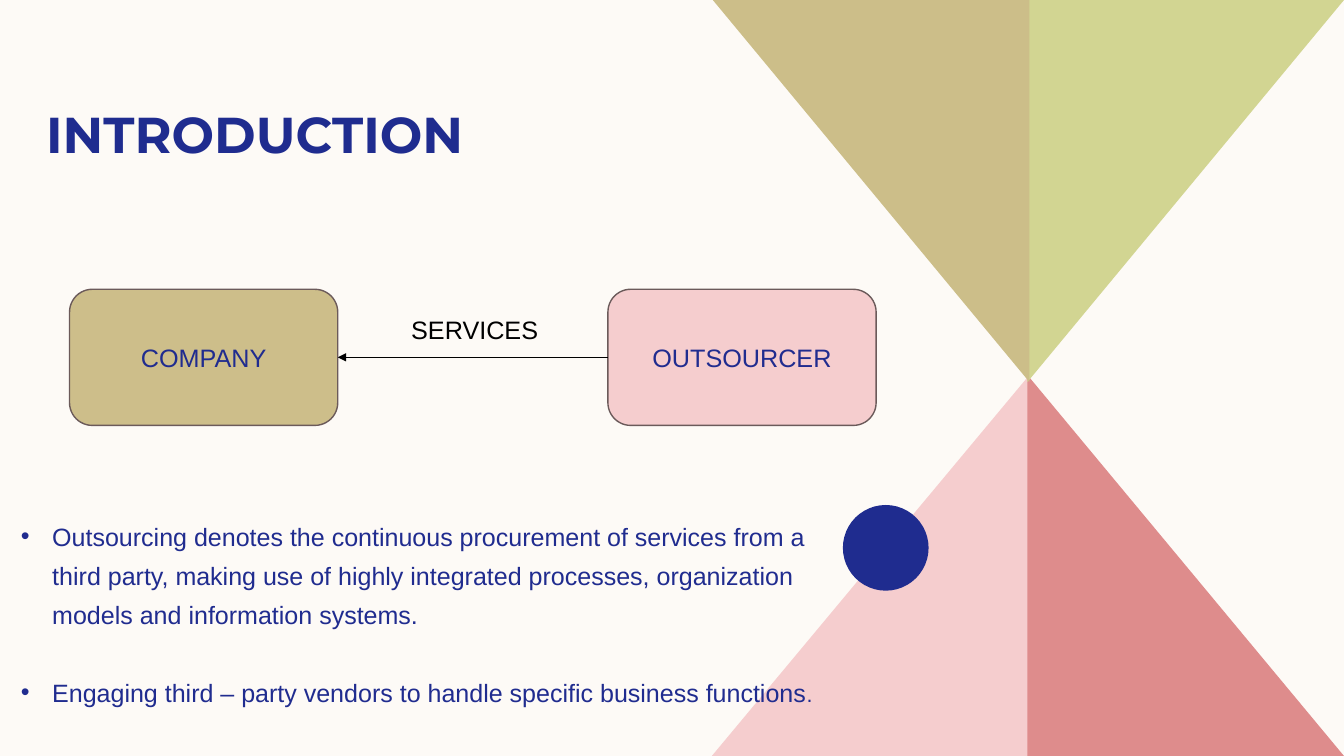
from dataclasses import dataclass

from lxml.etree import SubElement
from pptx import Presentation
from pptx.dml.color import RGBColor
from pptx.enum.shapes import MSO_CONNECTOR, MSO_SHAPE
from pptx.enum.text import MSO_ANCHOR, PP_ALIGN
from pptx.oxml.ns import qn
from pptx.shapes.autoshape import Shape
from pptx.slide import Slide
from pptx.text.text import TextFrame, _Paragraph
from pptx.util import Inches, Pt

NAVY = "1F2C8F"
TEXT_BLUE = "202C8F"
BLACK = "000000"
PINK = "F5CDCE"
BODY_SIZE = 17.9
BULLET_INDENT = 0.31


@dataclass(frozen=True)
class Triangle:
    corners: tuple[tuple[float, float], ...]
    fill: str


@dataclass(frozen=True)
class Party:
    label: str
    left: float
    fill: str


@dataclass(frozen=True)
class Phrase:
    text: str
    size: float = BODY_SIZE


TRIANGLES = (
    Triangle(((10.21, 3.72), (7.06, 7.5), (10.21, 7.5)), PINK),
    Triangle(((10.19, 3.72), (13.33, 7.5), (10.19, 7.5)), "DE8C8C"),
    Triangle(((10.19, 3.79), (13.33, 0), (10.19, 0)), "D2D592"),
    Triangle(((10.21, 3.79), (7.07, 0), (10.21, 0)), "CCBE89"),
)

OUTSOURCER = Party("OUTSOURCER", 6.03, PINK)
COMPANY = Party("COMPANY", 0.69, "CDBE8A")

POINTS = (
    (
        Phrase(
            "Outsourcing denotes the continuous procurement of services from a "
            "third party, making use of highly integrated processes, "
            "organization models and information systems."
        ),
    ),
    (
        Phrase("Engaging third – party vendors to handle specific business functions"),
        Phrase(".", 15.3),
    ),
)


def color(value: str) -> RGBColor:
    return RGBColor.from_string(value)


def paint(shape: Shape, fill: str) -> None:
    shape.shadow.inherit = False
    shape.fill.solid()
    shape.fill.fore_color.rgb = color(fill)
    shape.line.fill.background()


def add_run(paragraph: _Paragraph, text: str, size: float, ink: str,
            font: str = "Arial", bold: bool = False) -> None:
    run = paragraph.add_run()
    run.text = text
    run.font.size = Pt(size)
    run.font.name = font
    run.font.bold = bold
    run.font.color.rgb = color(ink)


def add_text_frame(slide: Slide, left: float, top: float, width: float,
                   height: float, inset: float) -> TextFrame:
    box = slide.shapes.add_textbox(
        Inches(left), Inches(top), Inches(width), Inches(height))
    frame = box.text_frame
    frame.word_wrap = True
    frame.margin_top = frame.margin_bottom = Inches(inset)
    return frame


def add_triangle(slide: Slide, triangle: Triangle) -> None:
    first, *others = [(Inches(x), Inches(y)) for x, y in triangle.corners]
    builder = slide.shapes.build_freeform(*first)
    builder.add_line_segments(others, close=True)
    paint(builder.convert_to_shape(), triangle.fill)


def add_party(slide: Slide, party: Party) -> Shape:
    box = slide.shapes.add_shape(
        MSO_SHAPE.ROUNDED_RECTANGLE,
        Inches(party.left), Inches(2.87), Inches(2.66), Inches(1.35))
    paint(box, party.fill)
    box.line.color.rgb = color("6B5A5A")
    box.line.width = Pt(1)
    box.text_frame.vertical_anchor = MSO_ANCHOR.MIDDLE
    paragraph = box.text_frame.paragraphs[0]
    paragraph.alignment = PP_ALIGN.CENTER
    add_run(paragraph, party.label, 18, TEXT_BLUE)
    return box


def add_service_arrow(slide: Slide, provider: Shape, client: Shape) -> None:
    arrow = slide.shapes.add_connector(MSO_CONNECTOR.STRAIGHT, 0, 0, 0, 0)
    arrow.begin_connect(provider, 1)
    arrow.end_connect(client, 3)
    arrow.line.color.rgb = color(BLACK)
    arrow.line.width = Pt(0.5)
    SubElement(arrow.line._get_or_add_ln(), qn("a:tailEnd"), type="triangle")
    SubElement(arrow._element.spPr, qn("a:effectLst"))


def add_bullet(paragraph: _Paragraph) -> None:
    properties = paragraph._p.get_or_add_pPr()
    indent = Inches(BULLET_INDENT)
    properties.set("marL", str(indent))
    properties.set("indent", str(-indent))
    SubElement(properties, qn("a:buFont"), typeface="Arial")
    SubElement(properties, qn("a:buChar"), char="•")


def add_points(slide: Slide) -> None:
    frame = add_text_frame(slide, 0.11, 5.08, 8.38, 1.97, 0)
    for index, phrases in enumerate(POINTS):
        paragraph = frame.add_paragraph() if index else frame.paragraphs[0]
        paragraph.line_spacing = 1.3
        if index:
            paragraph.space_before = Pt(27.9)
        add_bullet(paragraph)
        for phrase in phrases:
            add_run(paragraph, phrase.text, phrase.size, TEXT_BLUE)


def main() -> None:
    presentation = Presentation()
    presentation.slide_width = Inches(13.33)
    presentation.slide_height = Inches(7.5)
    slide = presentation.slides.add_slide(presentation.slide_layouts[6])
    slide.background.fill.solid()
    slide.background.fill.fore_color.rgb = color("FDFAF6")

    for triangle in TRIANGLES:
        add_triangle(slide, triangle)
    dot = slide.shapes.add_shape(
        MSO_SHAPE.OVAL, Inches(8.36), Inches(5.01), Inches(0.85), Inches(0.85))
    paint(dot, NAVY)

    title = add_text_frame(slide, 0.36, 0.78, 6.24, 0.84, 0)
    title.vertical_anchor = MSO_ANCHOR.BOTTOM
    add_run(title.paragraphs[0], "INTRODUCTION", 36, NAVY, "Montserrat", True)
    add_points(slide)

    outsourcer = add_party(slide, OUTSOURCER)
    company = add_party(slide, COMPANY)
    add_service_arrow(slide, outsourcer, company)
    services = add_text_frame(slide, 3.98, 3.07, 1.47, 0.4, 0.05)
    add_run(services.paragraphs[0], "SERVICES", 18, BLACK)

    presentation.save("out.pptx")


if __name__ == "__main__":
    main()
